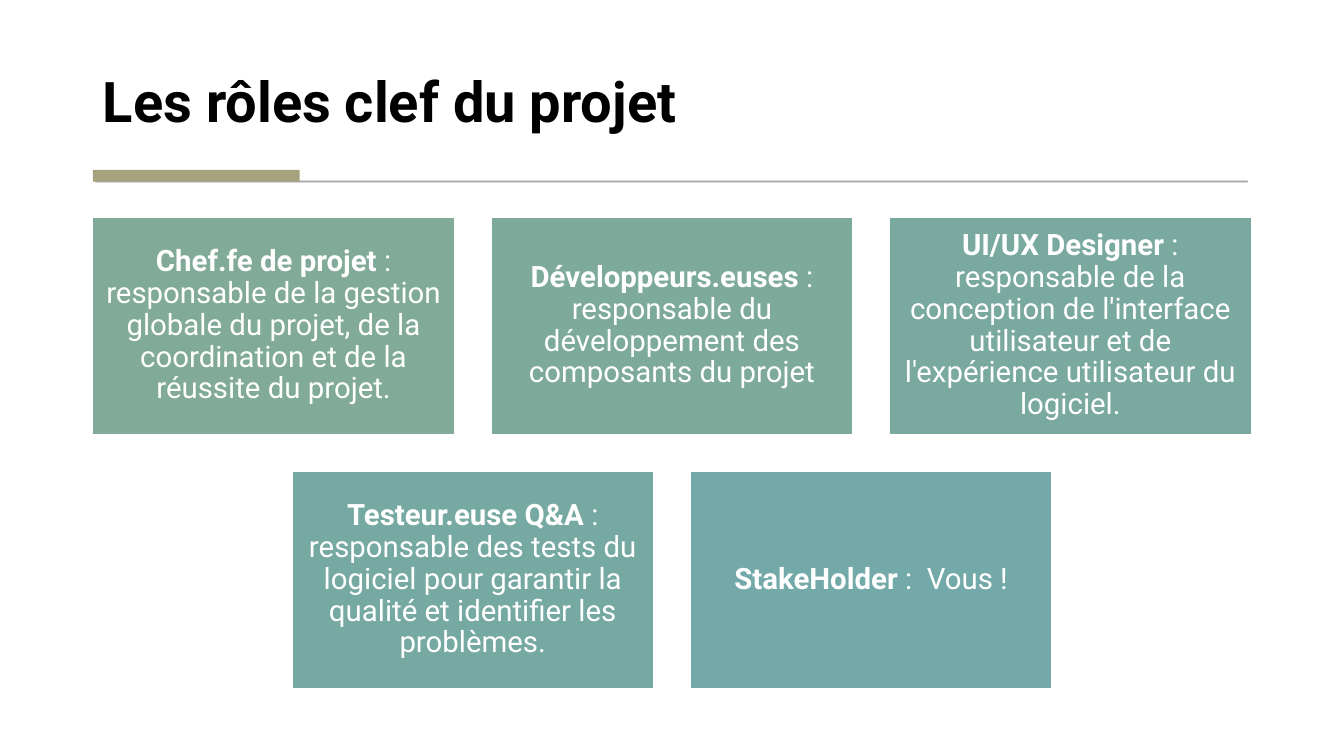
import pptx
import pptx.util
import pptx.dml.color
import pptx.enum.shapes
import pptx.enum.text
import pptx.oxml.ns
import lxml.etree

Cm = pptx.util.Cm
RGBColor = pptx.dml.color.RGBColor
Align = pptx.enum.text.PP_ALIGN
Anchor = pptx.enum.text.MSO_ANCHOR

WHITE = RGBColor(0xFF, 0xFF, 0xFF)
BLACK = RGBColor(0x00, 0x00, 0x00)
GREY = RGBColor(0x59, 0x59, 0x59)
OLIVE = RGBColor(0xA6, 0xA2, 0x7E)

WIDE, HIGH = 33.87, 19.05
CARD_W, CARD_H, GAP = 9.12, 5.48, 0.92
TOP = 5.47

ROWS = [
    [
        ("Chef.fe de projet ", ": responsable de la gestion globale du projet, "
         "de la coordination et de la réussite du projet.", RGBColor(0x81, 0xAA, 0x98)),
        ("Développeurs.euses ", ": responsable du développement des composants du projet",
         RGBColor(0x7E, 0xAA, 0x9B)),
        ("UI/UX Designer", " : responsable de la conception de l'interface utilisateur "
         "et de l'expérience utilisateur du logiciel.", RGBColor(0x7A, 0xA9, 0x9F)),
    ],
    [
        ("Testeur.euse Q&A", " : responsable des tests du logiciel pour garantir la qualité "
         "et identifier les problèmes.", RGBColor(0x77, 0xA9, 0xA3)),
        ("StakeHolder", " :  Vous !", RGBColor(0x73, 0xA9, 0xA8)),
    ],
]


def write(par, text, size=21, color=WHITE, bold=False, align=Align.CENTER):
    par.alignment = align
    par.line_spacing = 0.9
    run = par.add_run()
    run.text = text
    run.font.name = "Roboto"
    run.font.size = pptx.util.Pt(size)
    run.font.bold = bold
    run.font.color.rgb = color


def block(slide, left, top, width, height, fill, line=None, weight=1):
    shape = slide.shapes.add_shape(
        pptx.enum.shapes.MSO_SHAPE.RECTANGLE, Cm(left), Cm(top), Cm(width), Cm(height))
    shape.shadow.inherit = False
    shape.fill.solid()
    shape.fill.fore_color.rgb = fill
    if line is None:
        shape.line.fill.background()
    else:
        shape.line.color.rgb = line
        shape.line.width = pptx.util.Pt(weight)
    return shape


def fade(shape, share):
    qn = pptx.oxml.ns.qn
    for color in shape.element.spPr.iter(qn("a:srgbClr")):
        lxml.etree.SubElement(color, qn("a:alpha")).set("val", str(share * 1000))


def head(slide, text):
    title = slide.shapes.title
    title.left, title.top = Cm(2.34), Cm(0.71)
    title.width, title.height = Cm(29.18), Cm(2.82)
    frame = title.text_frame
    frame.auto_size = pptx.enum.text.MSO_AUTO_SIZE.NONE
    frame.word_wrap = True
    frame.vertical_anchor = Anchor.BOTTOM
    write(frame.paragraphs[0], text, size=40, color=BLACK, bold=True, align=Align.LEFT)


def rule(slide):
    fade(block(slide, 2.41, 4.56, 29.03, 0.03, GREY, GREY, 0.75), 30)
    block(slide, 2.34, 4.28, 5.21, 0.3, OLIVE)


def card(slide, left, top, role, task, fill):
    frame = block(slide, left, top, CARD_W, CARD_H, fill, WHITE).text_frame
    frame.word_wrap = True
    frame.vertical_anchor = Anchor.MIDDLE
    frame.margin_left = frame.margin_right = Cm(0.22)
    frame.margin_top = frame.margin_bottom = Cm(0.22)
    par = frame.paragraphs[0]
    write(par, role, bold=True)
    write(par, task)


def main():
    deck = pptx.Presentation()
    deck.slide_width, deck.slide_height = Cm(WIDE), Cm(HIGH)
    slide = deck.slides.add_slide(deck.slide_layouts[5])
    head(slide, "Les rôles clef du projet")
    rule(slide)
    for row, cards in enumerate(ROWS):
        span = len(cards) * (CARD_W + GAP) - GAP
        for col, (role, task, fill) in enumerate(cards):
            left = (WIDE - span) / 2 + col * (CARD_W + GAP)
            card(slide, left, TOP + row * (CARD_H + GAP), role, task, fill)
    deck.save("out.pptx")


if __name__ == "__main__":
    main()
